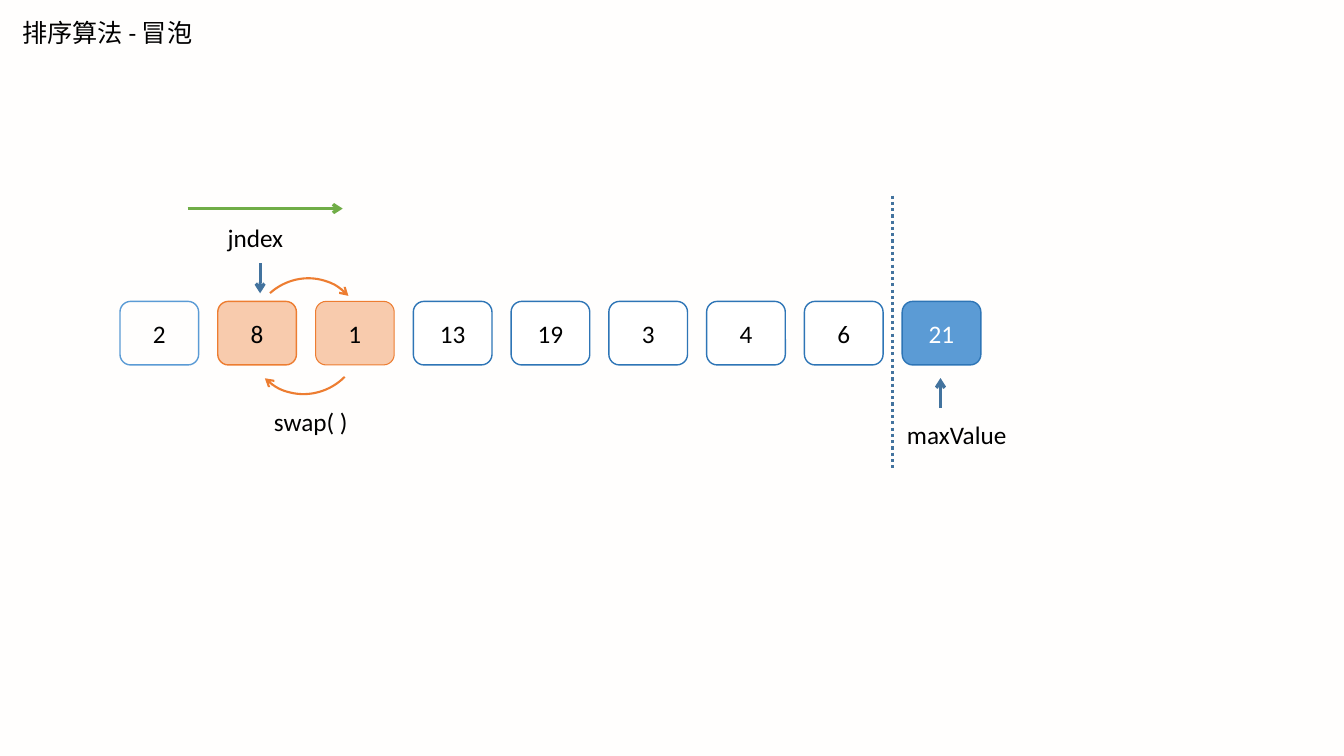
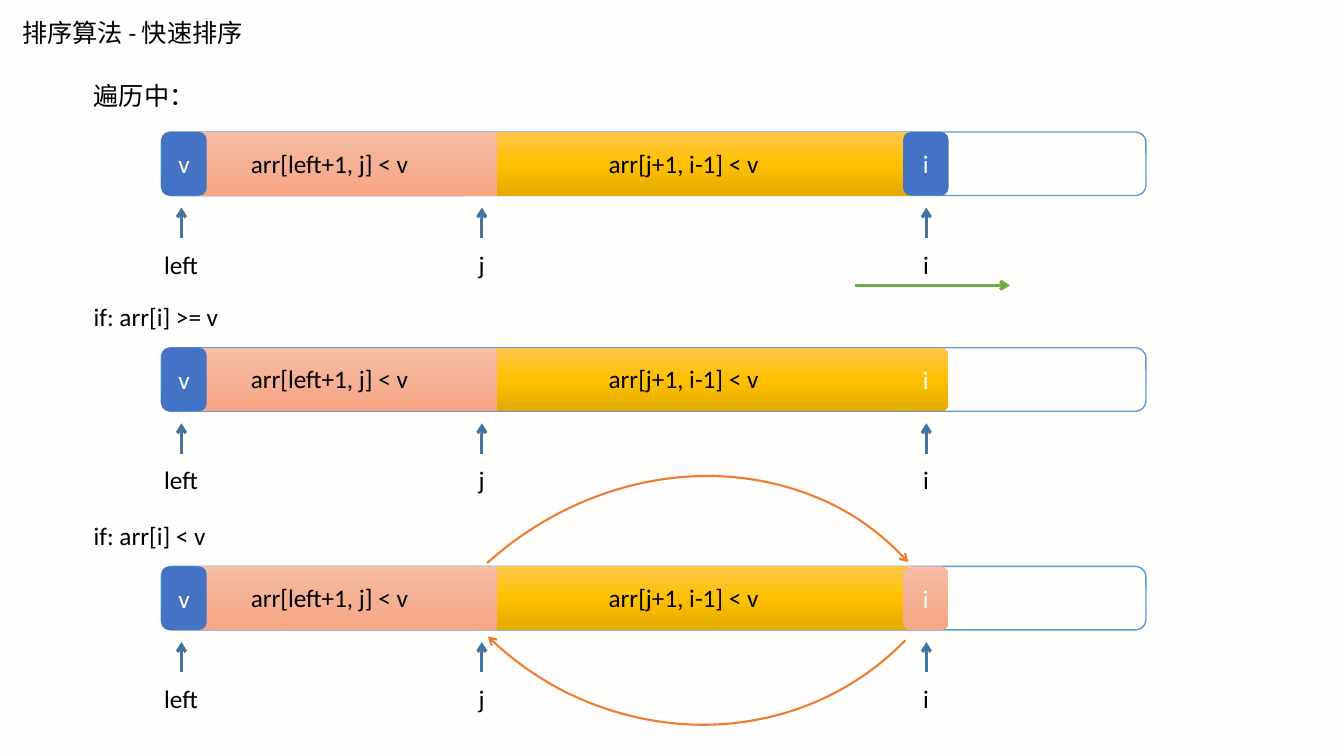
from copy import deepcopy

from lxml import etree
from pptx import Presentation
from pptx.dml.color import RGBColor
from pptx.enum.dml import MSO_LINE
from pptx.enum.shapes import MSO_CONNECTOR, MSO_SHAPE
from pptx.enum.text import MSO_ANCHOR, MSO_AUTO_SIZE, PP_ALIGN
from pptx.oxml.ns import qn
from pptx.util import Pt

ROUND, RECT, ARC = MSO_SHAPE.ROUNDED_RECTANGLE, MSO_SHAPE.RECTANGLE, MSO_SHAPE.ARC
STRAIGHT, DOTS = MSO_CONNECTOR.STRAIGHT, MSO_LINE.ROUND_DOT
TOP, MIDDLE = MSO_ANCHOR.TOP, MSO_ANCHOR.MIDDLE
LEFT, CENTER = PP_ALIGN.LEFT, PP_ALIGN.CENTER
FIXED = MSO_AUTO_SIZE.NONE
TITLE_ONLY = 5

COLORS = {
    "back": "FFFEFD", "text": "000000", "white": "FFFFFF",
    "sky": "5B9BD5", "edge": "2E75B6", "blue": "4472C4", "steel": "43739E",
    "peach": "F8CBAD", "orange": "ED7D31", "green": "70AD47",
}
BLENDS = {
    "salmon": ("F7BDA5", "F5B196", "F8A582"),
    "gold": ("FFC64B", "FFC000", "E3AB00"),
}
FONT, SIZE = "Calibri", 18
TALL = 45.4     # height of cells and bars
LINE = 28.8     # height of a one-line label


def rgb(name):
    return RGBColor.from_string(COLORS[name])


def box(x, y, w, h):
    return Pt(x), Pt(y), Pt(w), Pt(h)


def write(frame, text, color="text", align=LEFT, anchor=TOP):
    frame.word_wrap = True
    frame.auto_size = FIXED
    frame.vertical_anchor = anchor
    para = frame.paragraphs[0]
    para.text = text
    para.alignment = align
    para.font.name, para.font.size = FONT, Pt(SIZE)
    para.font.color.rgb = rgb(color)


def blend(fill, hexes):
    """Fill downwards with evenly spaced colour stops."""
    fill.gradient()
    fill.gradient_angle = 270
    return list(zip(fill.gradient_stops, hexes))


def paint(shape, name):
    fill = shape.fill
    if name is None:
        fill.background()
    elif name in BLENDS:
        hexes = BLENDS[name]
        fill.gradient()
        fill.gradient_angle = 270
        stops = shape._element.spPr.find(".//" + qn("a:gsLst"))
        stops.append(deepcopy(stops[0]))
        for i, (stop, tint) in enumerate(zip(fill.gradient_stops, hexes)):
            stop.position = i / (len(hexes) - 1)
            stop.color.rgb = RGBColor.from_string(tint)
    else:
        fill.solid()
        fill.fore_color.rgb = rgb(name)


def stroke(item, color, width):
    item.line.color.rgb = rgb(color)
    item.line.width = Pt(width)


def tip(item):
    """Put an open arrowhead at the end of a line."""
    line = item.line._get_or_add_ln()
    etree.SubElement(line, qn("a:tailEnd"), type="arrow")


def add_page(deck, title):
    slide = deck.slides.add_slide(deck.slide_layouts[TITLE_ONLY])
    slide.background.fill.solid()
    slide.background.fill.fore_color.rgb = rgb("back")
    head = slide.shapes.title
    head.left, head.top, head.width, head.height = box(8.6, 8.6, 320, LINE)
    write(head.text_frame, title)
    return slide


def add_label(slide, text, x, y, w):
    label = slide.shapes.add_textbox(*box(x, y, w, LINE))
    write(label.text_frame, text)


def add_block(slide, x, y, w, fill, text="", color="text",
              edge=None, width=1, kind=ROUND):
    block = slide.shapes.add_shape(kind, *box(x, y, w, TALL))
    block.shadow.inherit = False
    paint(block, fill)
    if edge:
        stroke(block, edge, width)
    else:
        block.line.fill.background()
    if text:
        write(block.text_frame, text, color, CENTER, MIDDLE)


def add_line(slide, x1, y1, x2, y2, color="steel", dotted=False):
    line = slide.shapes.add_connector(STRAIGHT, Pt(x1), Pt(y1), Pt(x2), Pt(y2))
    stroke(line, color, 2.25)
    if dotted:
        line.line.dash_style = DOTS
    else:
        tip(line)
    etree.SubElement(line._element.spPr, qn("a:effectLst"))


def add_arc(slide, x, y, w, h, turn):
    arc = slide.shapes.add_shape(ARC, *box(x, y, w, h))
    arc.rotation = turn
    arc.shadow.inherit = False
    arc.fill.background()
    stroke(arc, "orange", 1.5)
    tip(arc)


def add_bubble(deck):
    slide = add_page(deck, "排序算法 - 冒泡")

    # Row of values
    plain = ("white", "text", "edge", 1)
    looks = {
        0: (None, "text", "sky", 1),
        1: ("peach", "text", "orange", 1),
        2: ("peach", "text", "orange", 0.75),
        8: ("sky", "white", "edge", 1),
    }
    for i, value in enumerate((2, 8, 1, 13, 19, 3, 4, 6, 21)):
        fill, color, edge, width = looks.get(i, plain)
        add_block(slide, 85.7 + 69.84 * i, 215.3, 56.2, fill,
                  str(value), color, edge, width)

    # Sorted part
    add_line(slide, 637.2, 139.7, 637.2, 336.2, dotted=True)
    add_label(slide, "maxValue", 640.8, 296, 98.6)
    add_line(slide, 671.8, 291.6, 671.8, 270)

    # Moving index
    add_line(slide, 134, 149, 244.8, 149, "green")
    add_label(slide, "jndex", 155.5, 155.5, 62)
    add_line(slide, 185.8, 188, 185.8, 209.5)

    # Swap
    add_arc(slide, 178.6, 199.4, 80.6, 77.8, 318)
    add_arc(slide, 177.1, 201.6, 82.1, 79.2, 135)
    add_label(slide, "swap( )", 188.6, 286.6, 77)


def add_range(slide, caption, top, gap, last):
    """Draw one partition bar with its caption and pointers."""
    add_label(slide, caption, 59.8, top - gap, 320)
    add_block(slide, 115.2, top, 703.4, None, edge="sky")
    add_block(slide, 141.1, top, 213.9, "salmon", kind=RECT)
    add_block(slide, 115.2, top, 32.4, "blue", "v", "white")
    add_block(slide, 355, top, 297.4, "gold", kind=RECT)
    add_block(slide, 645.1, top, 32.4, last, "i", "white")
    for text, x in (("arr[left+1, j] < v", 172.1), ("arr[j+1, i-1] < v", 427.7)):
        add_label(slide, text, x, top + 7.9, 152)
    for text, x, w, mid in (("left", 110.2, 48.2, 129.6),
                            ("j", 334.8, 27.4, 344.2),
                            ("i", 652.3, 27.4, 661.7)):
        add_label(slide, text, x, top + 80, w)
        add_line(slide, mid, top + 75.6, mid, top + 54)


def add_quick(deck):
    slide = add_page(deck, "排序算法 - 快速排序")

    # Three states of the scan
    for state in (("遍历中：", 94.3, 40.3, "blue"),
                  ("if: arr[i] >= v", 248.4, 36.7, "gold"),
                  ("if: arr[i] < v", 404.6, 36.7, "salmon")):
        add_range(slide, *state)

    # Swap and scan direction
    add_arc(slide, 258.5, 350.6, 447.8, 401.8, 318)
    add_arc(slide, 285.8, 90.7, 410.4, 432.7, 134)
    add_line(slide, 610.6, 203.8, 721.4, 203.8, "green")


def main():
    deck = Presentation()
    deck.slide_width, deck.slide_height = Pt(960), Pt(540)
    add_bubble(deck)
    add_quick(deck)
    deck.save("out.pptx")


if __name__ == "__main__":
    main()
